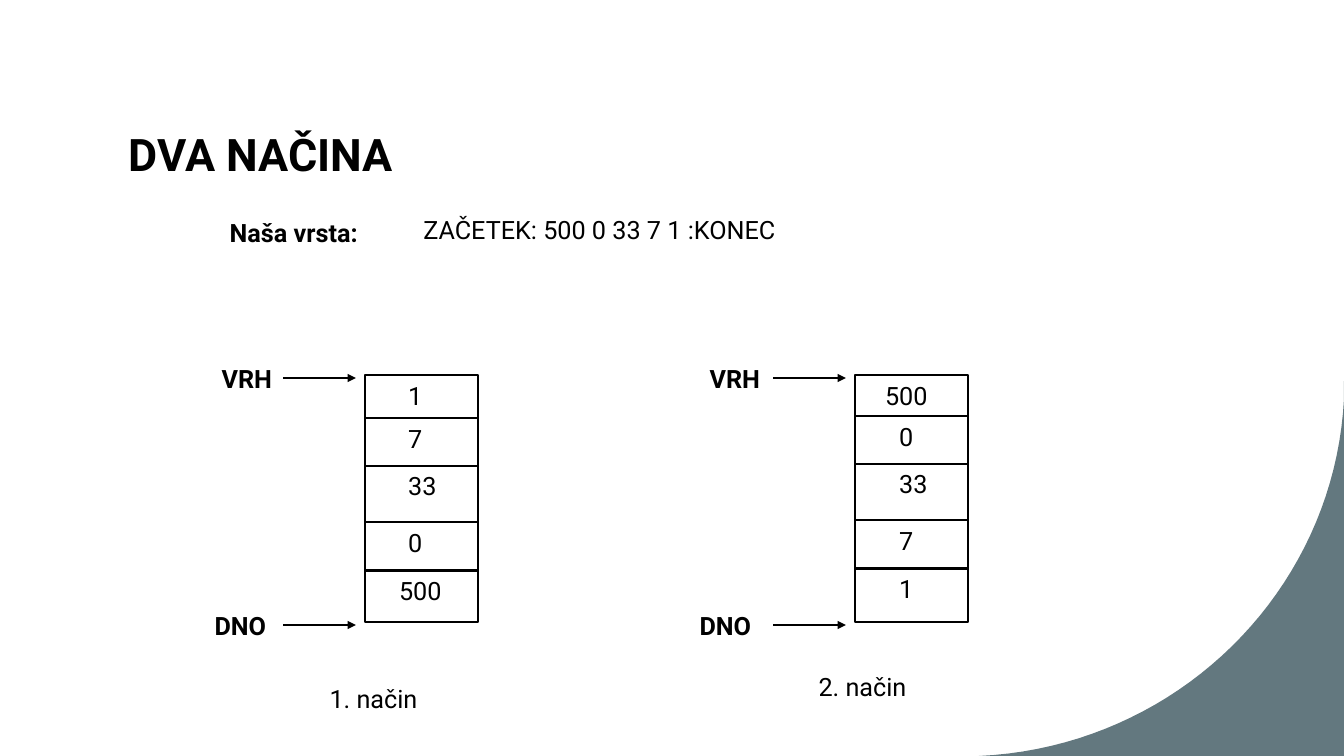
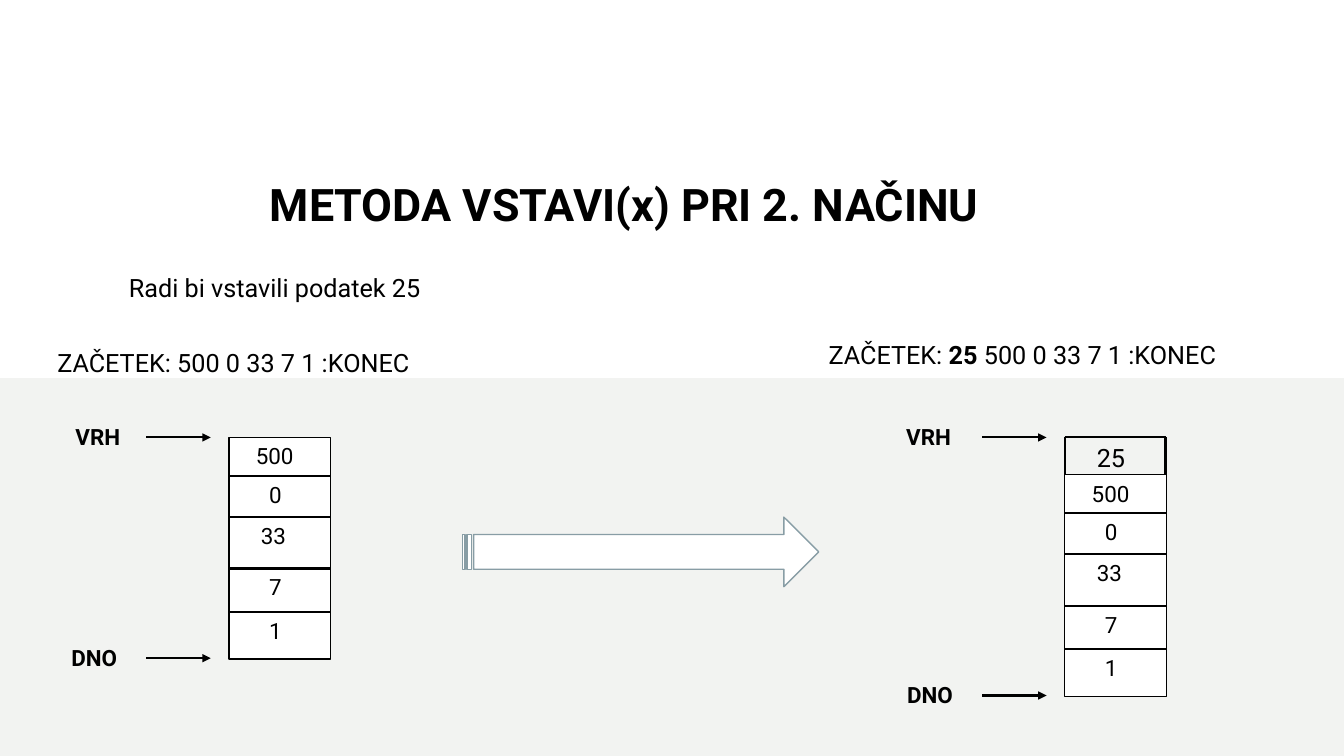
from dataclasses import dataclass

from lxml import etree
from pptx import Presentation
from pptx import util as u
from pptx.dml.color import RGBColor
from pptx.enum import shapes, text
from pptx.oxml.ns import qn

PX = 9144


@dataclass(frozen=True)
class Theme:
    """Colours, font and type sizes of the deck."""
    font: str = "Roboto"
    ink: str = "000000"
    paper: str = "FFFFFF"
    corner: str = "63787F"
    band: str = "F2F3F1"
    arrow: str = "889DA5"
    title: int = 32
    body: int = 18
    small: int = 16


@dataclass(frozen=True)
class StackStyle:
    """Sizes of a stack, and the label indent by number of digits."""
    width: int
    height: int
    rules: tuple
    indents: tuple
    size: int
    arrow: int
    gap: int


T = Theme()
QUEUE = "500 0 33 7 1"
FIRST = StackStyle(112, 245, (43, 90, 146, 194), (33, 33, 24), T.body, 72, 9)
SECOND = StackStyle(112, 245, (41, 88, 144, 192), (34, 34, 20), T.body, 72, 9)
SMALL = StackStyle(101, 220, (38, 79, 130, 173), (30, 22, 17), T.small, 64, 18)


def px(n):
    """Turn px into EMU."""
    return u.Emu(round(n * PX))


def rgb(color):
    """Turn a hex string into a colour."""
    return RGBColor.from_string(color)


def paint(sp, fill, line=None):
    """Set fill and outline of a shape and drop its shadow."""
    sp.shadow.inherit = False
    sp.fill.solid()
    sp.fill.fore_color.rgb = rgb(fill)
    if line:
        sp.line.color.rgb = rgb(line)
        sp.line.width = u.Pt(1)
    else:
        sp.line.fill.background()


def add_box(slide, kind, x, y, w, h, fill, line=None):
    """Add a preset shape."""
    sp = slide.shapes.add_shape(kind, px(x), px(y), px(w), px(h))
    paint(sp, fill, line)


def add_text(slide, x, y, w, h, runs, size=T.body):
    """Add a text box from (text, bold) runs."""
    sp = slide.shapes.add_textbox(px(x), px(y), px(w), px(h))
    tf = sp.text_frame
    tf.word_wrap = True
    for words, bold in runs:
        r = tf.paragraphs[0].add_run()
        r.text = words
        r.font.name = T.font
        r.font.size = u.Pt(size)
        r.font.bold = bold
        r.font.color.rgb = rgb(T.ink)
    return tf


def add_title(slide, x, y, w, h, words, anchor):
    """Add a bold slide title."""
    tf = add_text(slide, x, y, w, h, [(words, True)], T.title)
    tf.vertical_anchor = anchor
    tf.paragraphs[0].line_spacing = 1.1
    return tf


def add_line(slide, x1, y1, x2, y2, head=False):
    """Add a straight line, with an arrowhead if wanted."""
    line = slide.shapes.add_connector(
        shapes.MSO_CONNECTOR.STRAIGHT, px(x1), px(y1), px(x2), px(y2))
    line.line.color.rgb = rgb(T.ink)
    line.line.width = u.Pt(1.5)
    if head:
        etree.SubElement(line.line._get_or_add_ln(), qn("a:tailEnd"), type="triangle")
    etree.SubElement(line._element.spPr, qn("a:effectLst"))


def add_stack(slide, x, y, style, values):
    """Add a box ruled into labelled cells."""
    add_box(slide, shapes.MSO_SHAPE.RECTANGLE, x, y, style.width, style.height,
            T.paper, T.ink)
    for rule in style.rules:
        add_line(slide, x, y + rule, x + style.width, y + rule)
    for value, top in zip(values.split(), (0, *style.rules)):
        indent = style.indents[len(value) - 1]
        add_text(slide, x + indent, y + top, 70, 40, [(value, False)], style.size)


def add_pointers(slide, x, style, *pointers):
    """Add the (name, label x, arrow y) pointers left of a stack."""
    end = x - style.gap
    for name, label_x, y in pointers:
        add_line(slide, end - style.arrow, y, end, y, head=True)
        add_text(slide, label_x, y - 19, 86, 40, [(name, True)], style.size)


def add_corner(slide):
    """Add the curved corner at the lower right."""
    curve = ((971, 750), (1167, 741), (1323, 587), (1333, 396))
    points = [(1333, 750), (963, 750)]
    for step in range(41):
        t = step / 40
        weights = ((1 - t) ** 3, 3 * t * (1 - t) ** 2, 3 * t * t * (1 - t), t ** 3)
        points.append(tuple(sum(k * c for k, c in zip(weights, axis))
                            for axis in zip(*curve)))
    builder = slide.shapes.build_freeform(px(1333), px(378))
    builder.add_line_segments([(px(x), px(y)) for x, y in points])
    paint(builder.convert_to_shape(), T.corner)


def two_ways(slide):
    """Build the slide that compares both stack orders."""
    add_corner(slide)
    add_title(slide, 118, 79, 1088, 105, "DVA NAČINA", text.MSO_ANCHOR.BOTTOM)
    add_text(slide, 218, 211, 180, 40, [("Naša vrsta:", True)])
    add_text(slide, 410, 208, 522, 40, [(f"ZAČETEK: {QUEUE} :KONEC", False)])
    add_stack(slide, 362, 372, FIRST, "1 7 33 0 500")
    add_pointers(slide, 362, FIRST, ("VRH", 210, 375), ("DNO", 203, 620))
    add_text(slide, 317, 673, 127, 40, [("1. način", False)])
    add_stack(slide, 848, 372, SECOND, QUEUE)
    add_pointers(slide, 848, SECOND, ("VRH", 694, 375), ("DNO", 684, 620))
    add_text(slide, 802, 661, 127, 40, [("2. način", False)])


def insert_method(slide):
    """Build the slide that shows inserting a value on top."""
    add_box(slide, shapes.MSO_SHAPE.RECTANGLE, 0, 375, 1333, 375, T.band)
    tf = add_title(slide, 253, 106, 831, 187, "METODA VSTAVI(x) PRI 2. NAČINU",
                   text.MSO_ANCHOR.MIDDLE)
    tf.margin_right = px(108)
    tf.paragraphs[0].alignment = text.PP_ALIGN.CENTER
    add_text(slide, 118, 265, 1088, 40, [("Radi bi vstavili podatek 25", False)])
    add_text(slide, 47, 340, 667, 40, [(f"ZAČETEK: {QUEUE} :KONEC", False)])
    add_text(slide, 812, 332, 512, 40,
             [("ZAČETEK: ", False), ("25", True), (f" {QUEUE} :KONEC", False)])
    add_stack(slide, 227, 434, SMALL, QUEUE)
    add_pointers(slide, 227, SMALL, ("VRH", 65, 434), ("DNO", 61, 653))
    add_box(slide, shapes.MSO_SHAPE.STRIPED_RIGHT_ARROW, 459, 513, 353, 69,
            T.paper, T.arrow)
    add_stack(slide, 1056, 471, SMALL, QUEUE)
    add_pointers(slide, 1056, SMALL, ("VRH", 889, 434), ("DNO", 890, 690))
    new_cell = ((1056, 471), (1056, 434), (1156, 434), (1156, 471))
    for start, end in zip(new_cell, new_cell[1:]):
        add_line(slide, *start, *end)
    add_text(slide, 1078, 434, 65, 40, [("25", False)])


def main():
    """Build and save the deck."""
    prs = Presentation()
    prs.slide_width, prs.slide_height = px(1333), px(750)
    for build in (two_ways, insert_method):
        build(prs.slides.add_slide(prs.slide_layouts[6]))
    prs.save("out.pptx")


if __name__ == "__main__":
    main()
